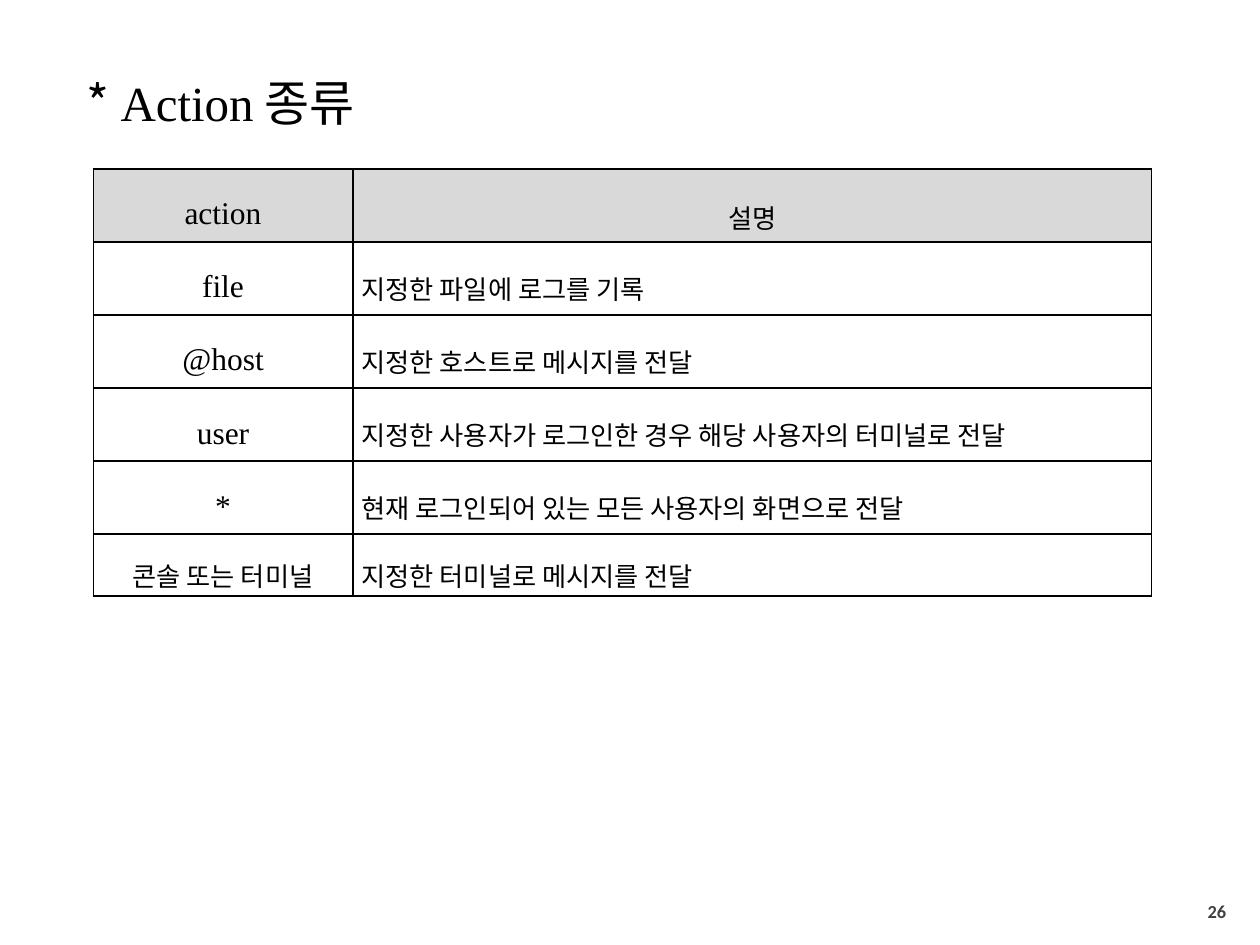
from lxml import etree
from pptx import Presentation
from pptx import util as u
from pptx.dml.color import RGBColor
from pptx.enum import text
from pptx.oxml.ns import qn

PX = 9144  # EMU per px, 100 px to the inch
COLORS = {"ink": "000000", "head": "D9D9D9", "body": "FFFFFF", "number": "404040"}
SERIF, KOREAN, SANS = "Times New Roman", "Noto Sans CJK KR", "Calibri"
ALIGN = text.PP_ALIGN


class Deck:
    def __init__(self, prs):
        self.s = prs.slides.add_slide(prs.slide_layouts[6])

    def style(self, font, name, size, color="ink", bold=False):
        font.name, font.size, font.bold = name, u.Pt(size), bold
        font.color.rgb = RGBColor.from_string(COLORS[color])
        if name == KOREAN:
            ea = etree.SubElement(font._element, qn("a:ea"))
            ea.set("typeface", name)

    def textbox(self, x, y, w, h, anchor):
        sp = self.s.shapes.add_textbox(x * PX, y * PX, w * PX, h * PX)
        tf = sp.text_frame
        tf.word_wrap, tf.vertical_anchor = True, anchor
        return tf.paragraphs[0]

    def title(self, x, y, w, h, runs):
        p = self.textbox(x, y, w, h, text.MSO_ANCHOR.TOP)
        p.line_spacing = 0.9
        for words, name in runs:
            r = p.add_run()
            r.text = words
            self.style(r.font, name, 28)

    def page_number(self, x, y, w, h, number):
        p = self.textbox(x, y, w, h, text.MSO_ANCHOR.MIDDLE)
        p.text, p.alignment = number, ALIGN.RIGHT
        self.style(p.font, SANS, 10.5, "number", True)

    def borders(self, cell):
        tcPr = cell._tc.get_or_add_tcPr()
        for i, side in enumerate(("lnL", "lnR", "lnT", "lnB")):
            ln = etree.Element(qn("a:" + side), w=str(u.Pt(1)))
            fill = etree.SubElement(ln, qn("a:solidFill"))
            etree.SubElement(fill, qn("a:srgbClr"), val=COLORS["ink"])
            tcPr.insert(i, ln)

    def cell(self, cell, words, align, spacing, fill):
        cell.margin_left = cell.margin_right = 7 * PX
        cell.margin_top = cell.margin_bottom = 2 * PX
        cell.vertical_anchor = text.MSO_ANCHOR.MIDDLE
        cell.fill.solid()
        cell.fill.fore_color.rgb = RGBColor.from_string(COLORS[fill])
        self.borders(cell)
        p = cell.text_frame.paragraphs[0]
        p.text, p.alignment, p.line_spacing = words, align, spacing
        self.style(p.font, *((SERIF, 18) if words.isascii() else (KOREAN, 15)))

    def table(self, x, y, widths, heights, rows):
        table = self.s.shapes.add_table(len(rows), len(widths), x * PX, y * PX,
                                        sum(widths) * PX, sum(heights) * PX).table
        for column, w in zip(table.columns, widths):
            column.width = w * PX
        for i, (h, row) in enumerate(zip(heights, rows)):
            table.rows[i].height = h * PX
            for j, words in enumerate(row):
                head = i == 0
                align = ALIGN.JUSTIFY if j and not head else ALIGN.CENTER
                self.cell(table.cell(i, j), words, align,
                          1.6 if head and j else 1.5, "head" if head else "body")


def main():
    prs = Presentation()
    prs.slide_width, prs.slide_height = 1000 * PX, 750 * PX
    deck = Deck(prs)

    # Title
    deck.title(59, 58, 866, 44, [("* ", KOREAN), ("Action", SERIF), (" 종류", KOREAN)])

    # Page number
    deck.page_number(750, 703, 233, 40, "26")

    # Actions and what they do
    deck.table(74, 134, [206, 634], [58] * 5 + [49], [
        ("action", "설명"),
        ("file", "지정한 파일에 로그를 기록"),
        ("@host", "지정한 호스트로 메시지를 전달"),
        ("user", "지정한 사용자가 로그인한 경우 해당 사용자의 터미널로 전달"),
        ("*", "현재 로그인되어 있는 모든 사용자의 화면으로 전달"),
        ("콘솔 또는 터미널", "지정한 터미널로 메시지를 전달"),
    ])

    prs.save("out.pptx")


if __name__ == "__main__":
    main()
